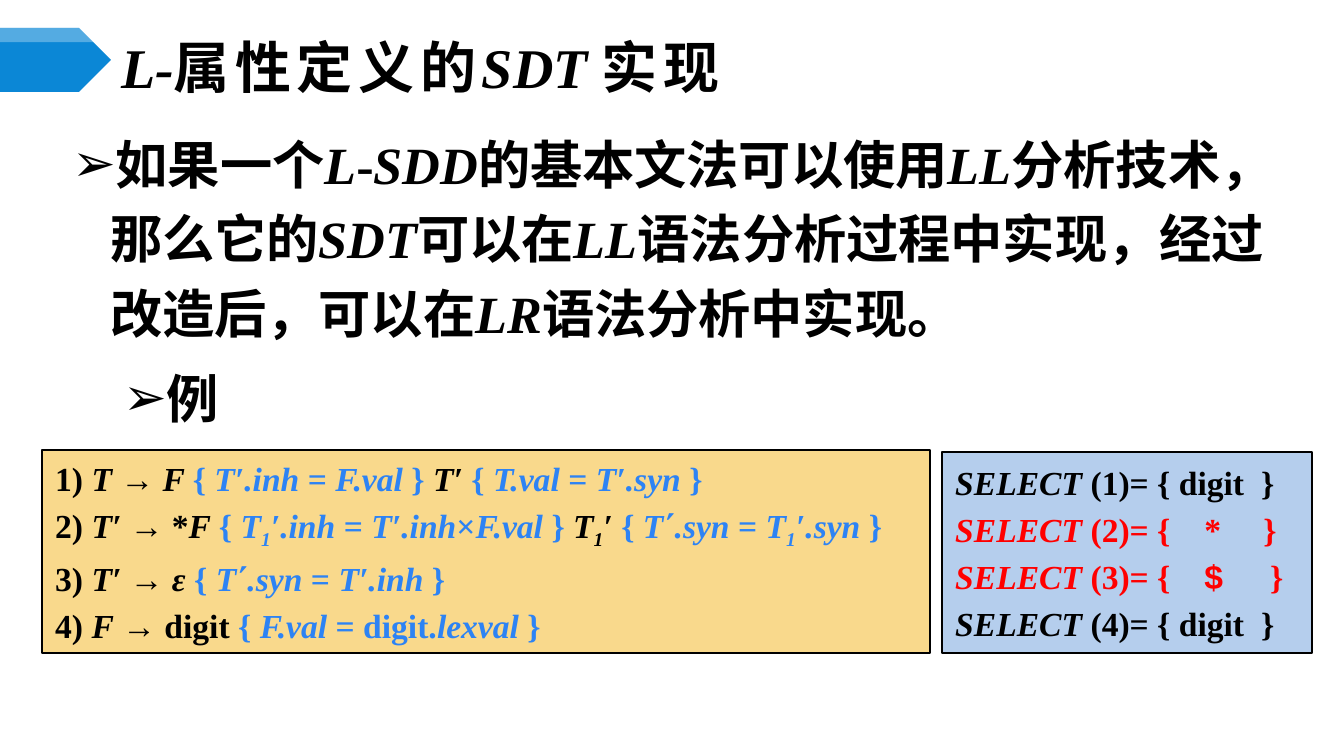
"""Build the slide on implementing L-attributed definitions with an SDT."""
import pptx
import pptx.dml.color
import pptx.enum.lang
import pptx.enum.shapes
import pptx.enum.text
import pptx.oxml.ns
import pptx.util
from lxml import etree

PX = 914400 / 134.4
SERIF = "Times New Roman"
BLACK, BLUE, RED = "000000", "2D83F4", "FF0000"

TITLE = [("L-", "i"), ("属性定义的", "w"), ("SDT ", "i"), ("实现", "w")]
STATEMENT = [
    ("如果一个", ""), ("L", "i"), ("-", ""), ("SDD", "i"), ("的基本文法可以使用", ""),
    ("LL", "i"), ("分析技术，那么它的", ""), ("SDT", "i"), ("可以在", ""), ("LL", "i"),
    ("语法分析过程中实现，经过改造后，可以在", ""), ("LR", "i"), ("语法分析中实现。", ""),
]
EXAMPLE = [("例", "")]
RULES = [
    [("1) ", ""), ("T ", "i"), ("→ ", ""), ("F ", "i"), ("{ ", "b"), ("T′.inh ", "bi"),
     ("= ", "b"), ("F.val", "bi"), (" } ", "b"), ("T′ ", "i"), ("{ ", "b"),
     ("T.val ", "bi"), ("= ", "b"), ("T′.syn", "bi"), (" }", "b")],
    [("2) ", ""), ("T′ ", "i"), ("→ *", ""), ("F ", "i"), ("{ ", "b"), ("T", "bi"),
     ("1", "bis"), ("′.inh ", "bi"), ("= ", "b"), ("T′.inh", "bi"), ("×", "b"),
     ("F.val", "bi"), (" } ", "b"), ("T", "i"), ("1", "is"), ("′ ", "i"), ("{ ", "b"),
     ("T΄.syn ", "bi"), ("= ", "b"), ("T", "bi"), ("1", "bis"), ("′.syn", "bi"), (" }", "b")],
    [("3) ", ""), ("T′ ", "i"), ("→ ", ""), ("ε ", "i"), ("{ ", "b"), ("T΄.syn ", "bi"),
     ("= ", "b"), ("T′.inh", "bi"), (" }", "b")],
    [("4) ", ""), ("F", "i"), (" → digit ", ""), ("{ ", "b"), ("F.val", "bi"),
     (" = digit.", "b"), ("lexval", "bi"), (" }", "b")],
]
DIGIT_TABS, STAR_TABS, END_TABS = (306,), (249, 308), (249, 315)
SELECT_SETS = [
    ([("SELECT ", "i"), ("(1)= { digit\t}", "")], DIGIT_TABS),
    ([("SELECT ", "ri"), ("(2)= {\t*\t}", "r")], STAR_TABS),
    ([("SELECT ", "ri"), ("(3)= {\t", "r"), ("$", "ra"), ("\t}", "r")], END_TABS),
    ([("SELECT ", "i"), ("(4)= { digit\t}", "")], DIGIT_TABS),
]


def px(length):
    """Turn whole pixels into EMU."""
    return pptx.util.Emu(round(length * PX))


def rgb(color):
    """Turn a hex string into a colour."""
    return pptx.dml.color.RGBColor.from_string(color)


def add_child(parent, tag, **attributes):
    """Append a DrawingML element."""
    return etree.SubElement(parent, pptx.oxml.ns.qn(tag), attributes)


def add_runs(paragraph, runs, size):
    """Add runs styled by letters: i italic, b blue, r red, s subscript, a Arial, w wide."""
    for text, style in runs:
        run = paragraph.add_run()
        run.text = text
        font = run.font
        font.size = pptx.util.Pt(size)
        font.name = "Arial" if "a" in style else SERIF
        font.bold = True
        font.italic = "i" in style
        font.language_id = pptx.enum.lang.MSO_LANGUAGE_ID.SIMPLIFIED_CHINESE
        font.color.rgb = rgb(BLUE if "b" in style else RED if "r" in style else BLACK)
        properties = run._r.get_or_add_rPr()
        if "s" in style:
            properties.set("baseline", "-25000")
        if "w" in style:
            properties.set("spc", "300")


def add_paragraph(frame, runs, size, first, indent=None, bullet=None, tabs=(), level=0):
    """Add a left-aligned paragraph with its indent, bullet and tab stops."""
    paragraph = frame.paragraphs[0] if first else frame.add_paragraph()
    paragraph.level = level
    paragraph.alignment = pptx.enum.text.PP_ALIGN.LEFT
    properties = paragraph._p.get_or_add_pPr()
    if indent:
        properties.set("marL", str(px(indent[0])))
        properties.set("indent", str(px(indent[1])))
    if bullet:
        add_child(properties, "a:buFont", typeface="Arial")
        add_child(properties, "a:buChar", char=bullet)
    if tabs:
        stops = add_child(properties, "a:tabLst")
        for position in tabs:
            add_child(stops, "a:tab", pos=str(px(position)), algn="l")
    paragraph.space_before = pptx.util.Pt(0 if first else size * 0.2)
    add_runs(paragraph, runs, size)
    return paragraph


def place(placeholder, left, top, width, height, anchor):
    """Move a placeholder and return its formatted text frame."""
    placeholder.left, placeholder.top = px(left), px(top)
    placeholder.width, placeholder.height = px(width), px(height)
    frame = placeholder.text_frame
    frame.auto_size = pptx.enum.text.MSO_AUTO_SIZE.NONE
    frame.word_wrap = True
    frame.vertical_anchor = anchor
    frame.margin_left = frame.margin_right = px(9)
    frame.margin_top = frame.margin_bottom = px(5)
    return frame


def add_marker(slide):
    """Draw the title pennant with its translucent upper band."""
    pennant = slide.shapes.add_shape(
        pptx.enum.shapes.MSO_SHAPE.PENTAGON, px(0), px(28), px(111), px(64))
    builder = slide.shapes.build_freeform(0, 28, scale=PX)
    builder.add_line_segments([(80, 28), (94, 42), (0, 42)], close=True)
    band = builder.convert_to_shape()
    for shape, color in ((pennant, "0B87D6"), (band, "FFFFFF")):
        shape.shadow.inherit = False
        shape.fill.solid()
        shape.fill.fore_color.rgb = rgb(color)
        shape.line.fill.background()
    white = band._element.spPr.find(".//" + pptx.oxml.ns.qn("a:srgbClr"))
    add_child(white, "a:alpha", val="30000")


def add_panel(slide, left, top, width, height, color):
    """Draw an outlined panel and return its text frame."""
    panel = slide.shapes.add_shape(
        pptx.enum.shapes.MSO_SHAPE.RECTANGLE, px(left), px(top), px(width), px(height))
    panel.shadow.inherit = False
    panel.fill.solid()
    panel.fill.fore_color.rgb = rgb(color)
    panel.line.color.rgb = rgb(BLACK)
    panel.line.width = pptx.util.Pt(0.75)
    frame = panel.text_frame
    frame.word_wrap = True
    frame.vertical_anchor = pptx.enum.text.MSO_ANCHOR.MIDDLE
    return frame


def main():
    """Build and save the slide."""
    deck = pptx.Presentation()
    deck.slide_width, deck.slide_height = px(1344), px(756)
    slide = deck.slides.add_slide(deck.slide_layouts[1])
    anchors = pptx.enum.text.MSO_ANCHOR

    add_marker(slide)
    title = place(slide.shapes.title, 112, 40, 1165, 53, anchors.MIDDLE)
    add_paragraph(title, TITLE, 30, True)

    body = place(slide.placeholders[1], 63, 115, 1229, 316, anchors.TOP)
    for level, (runs, margin) in enumerate(((STATEMENT, 38), (EXAMPLE, 89))):
        point = add_paragraph(body, runs, 28, level == 0, (margin, -38), "➢", level=level)
        point.line_spacing = pptx.util.Pt(40)

    rules = add_panel(slide, 42, 450, 888, 203, "F9D98C")
    for number, runs in enumerate(RULES):
        add_paragraph(rules, runs, 18, number == 0, (51, -51))

    select_sets = add_panel(slide, 942, 452, 370, 201, "B5CEED")
    for number, (runs, tabs) in enumerate(SELECT_SETS):
        add_paragraph(select_sets, runs, 18, number == 0, tabs=tabs)

    deck.save("out.pptx")


if __name__ == "__main__":
    main()
